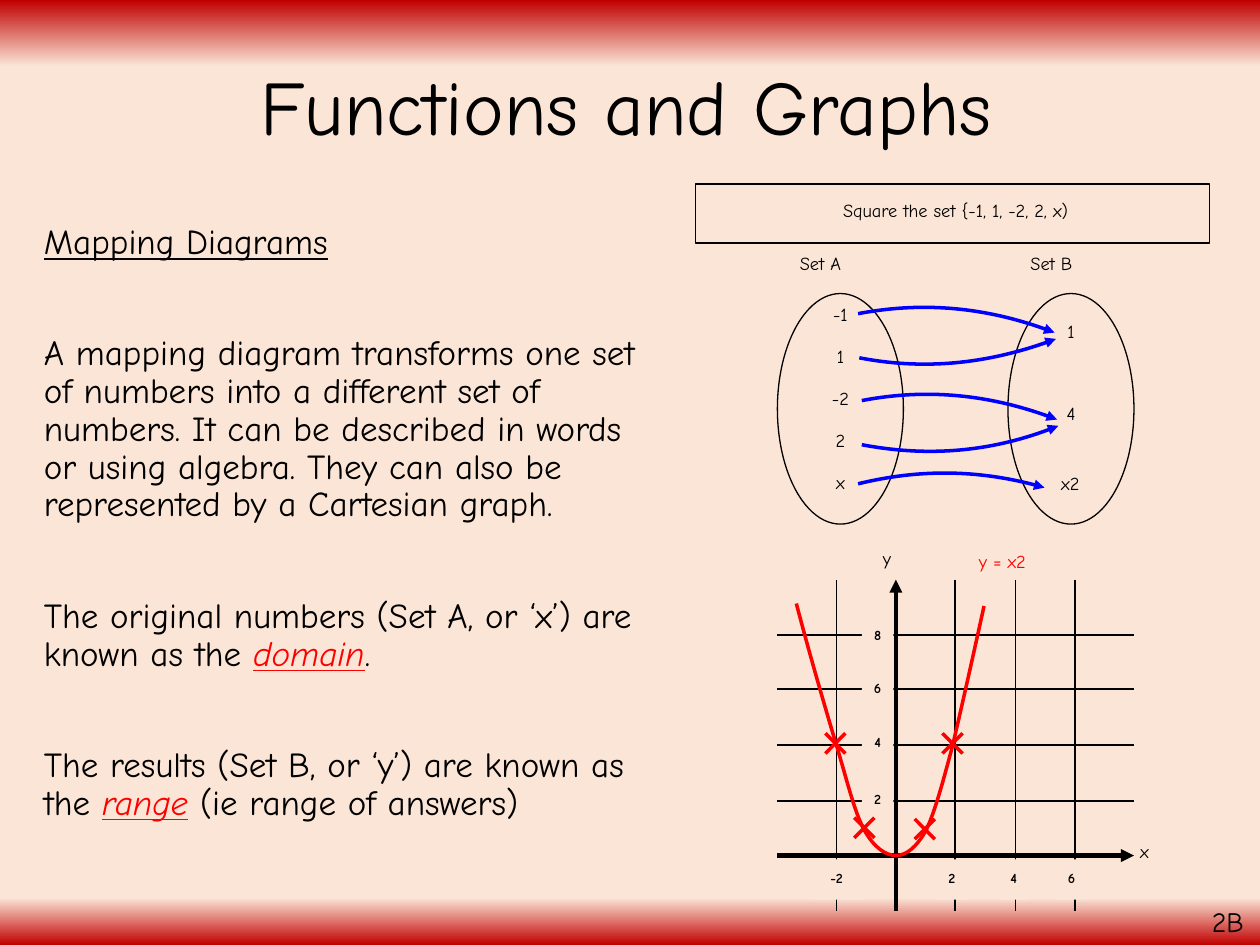
from math import cos, radians, sin

from lxml.etree import SubElement
from pptx import Presentation
from pptx.dml.color import RGBColor
from pptx.enum.shapes import MSO_CONNECTOR, MSO_SHAPE
from pptx.enum.text import MSO_ANCHOR, PP_ALIGN
from pptx.oxml.ns import qn
from pptx.util import Cm, Pt

THEME = {
    "font": "Comic Neue",
    "ink": "000000", "accent": "FF0000", "arrow": "0000FF",
    "paper": "FBE5D6", "edge": "C00000",
    "title": 44, "body": 20, "page": 16, "label": 10.5, "tick": 8,
}
BACKDROP = [(0, "edge"), (7, "paper"), (95, "paper"), (100, "edge")]

TITLE = "Functions and Graphs"
KEY = {"color": "accent", "italic": True, "underline": True}
BODY = [
    [("Mapping Diagrams", {"underline": True})],
    [("A mapping diagram transforms one set of numbers into a different set of "
      "numbers. It can be described in words or using algebra. They can also be "
      "represented by a Cartesian graph.", {})],
    [("The original numbers (Set A, or ‘x’) are known as the ", {}),
     ("domain", KEY), (".", {})],
    [("The results (Set B, or ‘y’) are known as the ", {}),
     ("range", KEY), (" (ie range of answers)", {})],
]
TASK = "Square the set {-1, 1, -2, 2, x)"
SET_NAMES = [("Set A", 6.25), ("Set B", 8.08)]
SET_OVALS = [6.17, 8]
SET_A = ["-1", "1", "-2", "2", "x"]
SET_B = [("1", 8.25, 2.46, 0.5), ("4", 8.25, 3.11, 0.5), ("x2", 8.08, 3.67, 0.83)]
MAPPINGS = [
    ((6.25, 2.23, 2.33, 2.61), 44.7,
     [(8.37, 2.64), (7.88, 2.45), (7.34, 2.39), (6.81, 2.49)], (7.32, 5.28)),
    ((6.26, 0.49, 2.33, 2.61), 315.3,
     [(8.38, 2.69), (7.88, 2.88), (7.34, 2.94), (6.82, 2.84)], (7.33, 0.05)),
    ((6.27, 2.92, 2.33, 2.61), 44.7,
     [(8.39, 3.33), (7.9, 3.14), (7.36, 3.08), (6.84, 3.18)], (7.35, 5.97)),
    ((6.28, 1.18, 2.33, 2.61), 315.3,
     [(8.4, 3.38), (7.91, 3.58), (7.37, 3.63), (6.84, 3.53)], (7.35, 0.74)),
    ((6.29, 3.61, 2.42, 2.5), 44.7,
     [(8.29, 3.87), (7.81, 3.73), (7.3, 3.72), (6.81, 3.84)], (7.48, 6.6)),
]
GRAPH = {"left": 6.17, "right": 9, "top": 4.6, "bottom": 7.23, "x": 7.11, "y": 6.79}
GRID_X = [6.64, 7.58, 8.06, 8.53]
GRID_Y = [5.04, 5.47, 5.91, 6.36]
X_TICKS = [("-2", 6.42, 0.44), ("2", 7.43, 0.25), ("4", 7.92, 0.25), ("6", 8.38, 0.25)]
Y_TICKS = [("2", 6.19), ("4", 5.74), ("6", 5.31), ("8", 4.89)]
GRAPH_NAMES = [("x", 8.95, 6.59, 0.43, "ink"), ("y", 6.91, 4.26, 0.43, "ink"),
               ("y = x2", 7.67, 4.29, 0.92, "accent")]
CROSSES = [(7.34, 6.58), (6.86, 6.57), (6.63, 5.9), (7.56, 5.9)]
PARABOLA_AREA = (6.32, 4.79, 1.49, 2)
PARABOLA = [
    (6.32, 4.79), (6.43, 5.21), (6.55, 5.62), (6.64, 5.92),
    (6.73, 6.22), (6.78, 6.44), (6.86, 6.59),
    (6.94, 6.73), (7.03, 6.79), (7.11, 6.79),
    (7.19, 6.79), (7.27, 6.73), (7.35, 6.59),
    (7.42, 6.44), (7.48, 6.22), (7.56, 5.92),
    (7.63, 5.62), (7.72, 5.22), (7.81, 4.81),
]


def inch(value):
    return Cm(value * 2.54)


def paint(name):
    return RGBColor.from_string(THEME[name])


def add_text(page, content, area, size="label", color="ink", align=PP_ALIGN.LEFT,
             anchor=MSO_ANCHOR.TOP, bold=False, fill=None, top=0.08, side=0.1,
             indent=0, leading=1, gap=0):
    box = page.shapes.add_textbox(*map(inch, area))
    if fill:
        box.fill.solid()
        box.fill.fore_color.rgb = paint(fill)
    frame = box.text_frame
    frame.word_wrap = True
    frame.vertical_anchor = anchor
    frame.margin_top = inch(top)
    frame.margin_left = frame.margin_right = inch(side)
    paragraphs = [[(content, {})]] if isinstance(content, str) else content
    for index, spans in enumerate(paragraphs):
        para = frame.add_paragraph() if index else frame.paragraphs[0]
        para.alignment = align
        para.line_spacing = leading
        para.space_before = Pt(gap if index else 0)
        if indent:
            para._p.get_or_add_pPr().set("marL", str(inch(indent)))
        for text, style in spans:
            span = para.add_run()
            span.text = text
            span.font.name = THEME["font"]
            span.font.size = Pt(THEME[size])
            span.font.bold = bold
            span.font.italic = style.get("italic", False)
            span.font.underline = style.get("underline", False)
            span.font.color.rgb = paint(style.get("color", color))


def set_line(shape, color, width, arrow=None):
    shape.line.color.rgb = paint(color)
    shape.line.width = Pt(width)
    if arrow:
        SubElement(shape.line._get_or_add_ln(), qn("a:" + arrow), type="triangle")


def add_line(page, start, end, color="ink", width=1, arrow=None):
    line = page.shapes.add_connector(MSO_CONNECTOR.STRAIGHT, *map(inch, start + end))
    set_line(line, color, width, arrow)
    SubElement(line._element.spPr, qn("a:effectLst"))


def add_outline(page, kind, area):
    shape = page.shapes.add_shape(kind, *map(inch, area))
    shape.shadow.inherit = False
    shape.fill.background()
    set_line(shape, "ink", 0.75)


def add_curve(page, area, points, color, rotation=0, apex=None, arrow=None):
    left, top, width, height = area
    turn = radians(rotation)

    def local(point):
        x = point[0] - left - width / 2
        y = point[1] - top - height / 2
        return (inch(x * cos(turn) + y * sin(turn) + width / 2),
                inch(y * cos(turn) - x * sin(turn) + height / 2))

    def add_step(outline, kind, places):
        step = SubElement(outline, qn("a:" + kind))
        for x, y in map(local, places):
            SubElement(step, qn("a:pt"), x=str(x), y=str(y))

    builder = page.shapes.build_freeform(0, 0)
    builder.add_line_segments([(inch(width), inch(height))], close=False)
    curve = builder.convert_to_shape()
    outlines = curve._element.find(".//" + qn("a:pathLst"))
    outlines.remove(outlines[0])
    size = {"w": str(inch(width)), "h": str(inch(height))}
    styles = [{"fill": "none"}] + ([{"stroke": "0"}] if apex else [])
    for style in styles:
        outline = SubElement(outlines, qn("a:path"), **size, **style)
        add_step(outline, "moveTo", points[:1])
        for first in range(1, len(points), 3):
            add_step(outline, "cubicBezTo", points[first:first + 3])
        if "stroke" in style:
            add_step(outline, "lnTo", [apex])
            SubElement(outline, qn("a:close"))
    curve.left, curve.top, curve.width, curve.height = map(inch, area)
    curve.rotation = rotation
    curve.shadow.inherit = False
    curve.fill.background()
    set_line(curve, color, 2, arrow)


def add_backdrop(page):
    fill = page.background.fill
    fill.gradient()
    fill.gradient_angle = 270
    stops = page.element.find(".//" + qn("a:gsLst"))
    for stop in list(stops):
        stops.remove(stop)
    for place, name in BACKDROP:
        stop = SubElement(stops, qn("a:gs"), pos=str(place * 1000))
        SubElement(stop, qn("a:srgbClr"), val=THEME[name])


def add_mapping(page):
    centre = PP_ALIGN.CENTER
    add_outline(page, MSO_SHAPE.RECTANGLE, (5.52, 1.46, 4.08, 0.47))
    add_text(page, TASK, (5.42, 1.5, 4.33, 0.4), align=centre)
    for name, left in SET_NAMES:
        add_text(page, name, (left, 1.92, 0.92, 0.4))
    for left in SET_OVALS:
        add_outline(page, MSO_SHAPE.OVAL, (left, 2.33, 1, 1.83))
    for index, value in enumerate(SET_A):
        add_text(page, value, (6.42, 2.33 + index / 3, 0.5, 0.4), align=centre)
    for value, left, top, width in SET_B:
        add_text(page, value, (left, top, width, 0.4), align=centre)
    for area, rotation, points, apex in MAPPINGS:
        add_curve(page, area, points, "arrow", rotation, apex, "headEnd")


def add_graph(page):
    left, right, top, bottom, middle, base = GRAPH.values()
    for y in GRID_Y:
        add_line(page, (left, y), (right, y))
    for x in GRID_X:
        add_line(page, (x, top), (x, bottom))
    add_line(page, (left, base), (right, base), width=2.5, arrow="tailEnd")
    add_line(page, (middle, bottom), (middle, top), width=2.5, arrow="tailEnd")
    ticks = [(text, x, 6.82, width) for text, x, width in X_TICKS]
    ticks += [(text, 6.84, y, 0.25) for text, y in Y_TICKS]
    for text, x, y, width in ticks:
        add_text(page, text, (x, y, width, 0.32), size="tick", bold=True,
                 align=PP_ALIGN.CENTER, fill="paper", side=0)
    arm = 0.08
    for x, y in CROSSES:
        for slope in (arm, -arm):
            add_line(page, (x - arm, y - slope), (x + arm, y + slope), "accent", 2)
    for text, x, y, width, color in GRAPH_NAMES:
        add_text(page, text, (x, y, width, 0.4), color=color)
    add_curve(page, PARABOLA_AREA, PARABOLA, "accent")


def main():
    deck = Presentation()
    deck.slide_width, deck.slide_height = inch(10), inch(7.5)
    page = deck.slides.add_slide(deck.slide_layouts[6])
    add_backdrop(page)
    add_text(page, BODY, (0, 1.73, 5.33, 4.95), size="body", top=0.05,
             indent=0.25, leading=0.9, gap=42)
    add_mapping(page)
    add_graph(page)
    add_text(page, TITLE, (0.66, 0.15, 8.62, 1.45), size="title", top=0.05,
             align=PP_ALIGN.CENTER, anchor=MSO_ANCHOR.MIDDLE, leading=0.9)
    add_text(page, "2B", (9.52, 7.13, 0.56, 0.37), size="page", top=0.05)
    deck.save("out.pptx")


if __name__ == "__main__":
    main()
